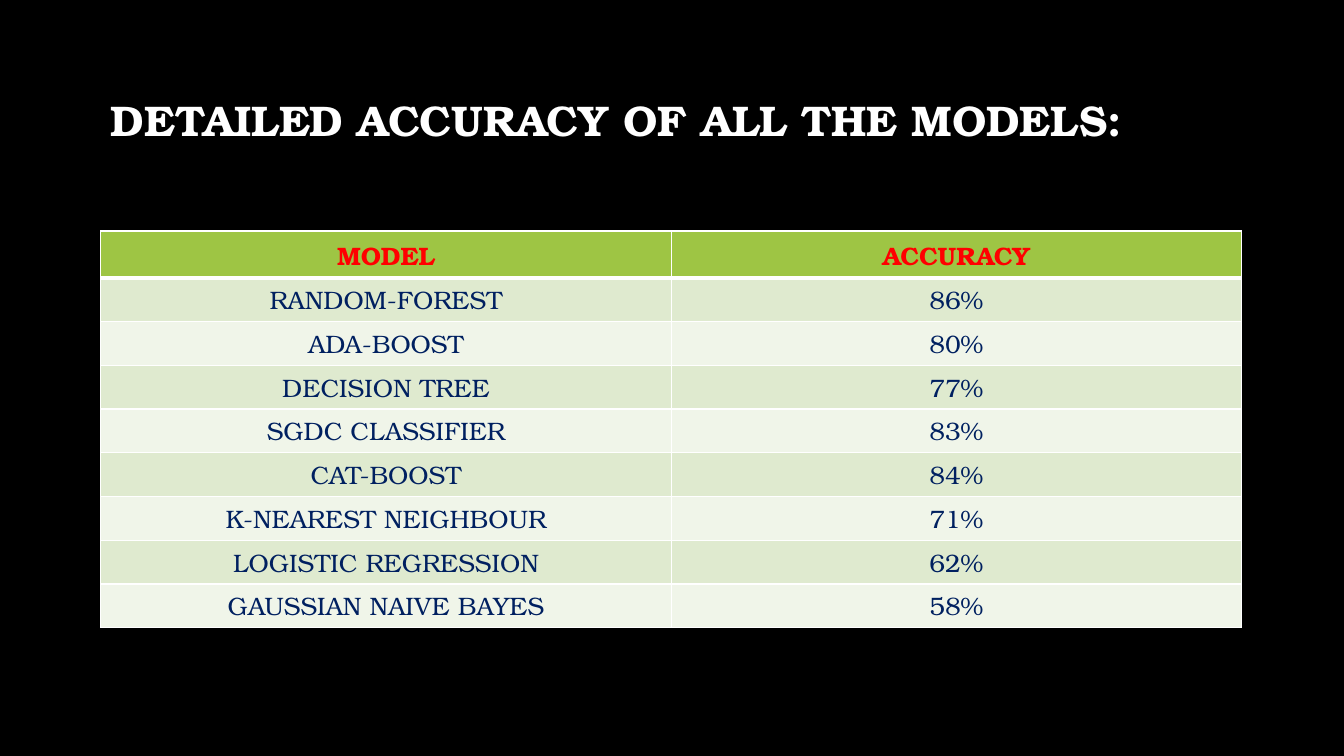
"""Build the slide that lists the accuracy of each model."""
from lxml import etree
from pptx import Presentation
from pptx.dml.color import RGBColor
from pptx.enum import text as tx
from pptx.oxml import ns
from pptx.util import Cm, Pt

TITLE = "DETAILED ACCURACY OF ALL THE MODELS:"
ROWS = [
    ("MODEL", "ACCURACY"),
    ("RANDOM-FOREST", "86%"),
    ("ADA-BOOST", "80%"),
    ("DECISION TREE", "77%"),
    ("SGDC CLASSIFIER", "83%"),
    ("CAT-BOOST", "84%"),
    ("K-NEAREST NEIGHBOUR", "71%"),
    ("LOGISTIC REGRESSION", "62%"),
    ("GAUSSIAN NAIVE BAYES", "58%"),
]
FONT = "TeX Gyre Bonum"
HEAD, BANDS = "9EC544", ("F0F5E9", "DFEACF")
LEFT, WIDTH, ROW = 2.54, 28.75, 1.03


def paint(target, color):
    if hasattr(target, "solid"):
        target.solid()
        target = target.fore_color
    target.rgb = RGBColor.from_string(color)


def style(par, size, color, bold, align):
    par.alignment = align
    for run in par.runs:
        font = run.font
        font.name, font.size, font.bold = FONT, Pt(size), bold
        paint(font.color, color)


def edge(cell, sides):
    props = cell._tc.get_or_add_tcPr()
    for spot, (side, width) in enumerate(sides.items()):
        line = etree.Element(ns.qn(f"a:ln{side}"), w=str(Pt(width)))
        fill = etree.SubElement(line, ns.qn("a:solidFill"))
        etree.SubElement(fill, ns.qn("a:srgbClr"), val="FFFFFF")
        props.insert(spot, line)


def main():
    deck = Presentation()
    deck.slide_width, deck.slide_height = Cm(33.87), Cm(19.05)
    slide = deck.slides.add_slide(deck.slide_layouts[5])
    paint(slide.background.fill, "000000")

    title = slide.shapes.title
    title.left, title.top = Cm(LEFT), Cm(1.7)
    title.width, title.height = Cm(WIDTH), Cm(2.8)
    frame = title.text_frame
    frame.text = TITLE
    frame.word_wrap = True
    frame.auto_size = tx.MSO_AUTO_SIZE.NONE
    frame.vertical_anchor = tx.MSO_ANCHOR.MIDDLE
    frame.paragraphs[0].line_spacing = 0.9
    style(frame.paragraphs[0], 30.6, "FFFFFF", True, tx.PP_ALIGN.LEFT)

    count = len(ROWS)
    table = slide.shapes.add_table(
        count, 2, Cm(LEFT), Cm(5.82), Cm(WIDTH), Cm(ROW * count)).table
    for i, row in enumerate(ROWS):
        top = i == 0
        for j, word in enumerate(row):
            cell = table.cell(i, j)
            cell.text = word
            paint(cell.fill, HEAD if top else BANDS[i % 2])
            edge(cell, {"L": 1, "R": 1, "T": 3 if i == 1 else 1,
                        "B": 3 if top else 1})
            style(cell.text_frame.paragraphs[0], 18,
                  "FF0000" if top else "002060", top, tx.PP_ALIGN.CENTER)
    deck.save("out.pptx")


if __name__ == "__main__":
    main()
